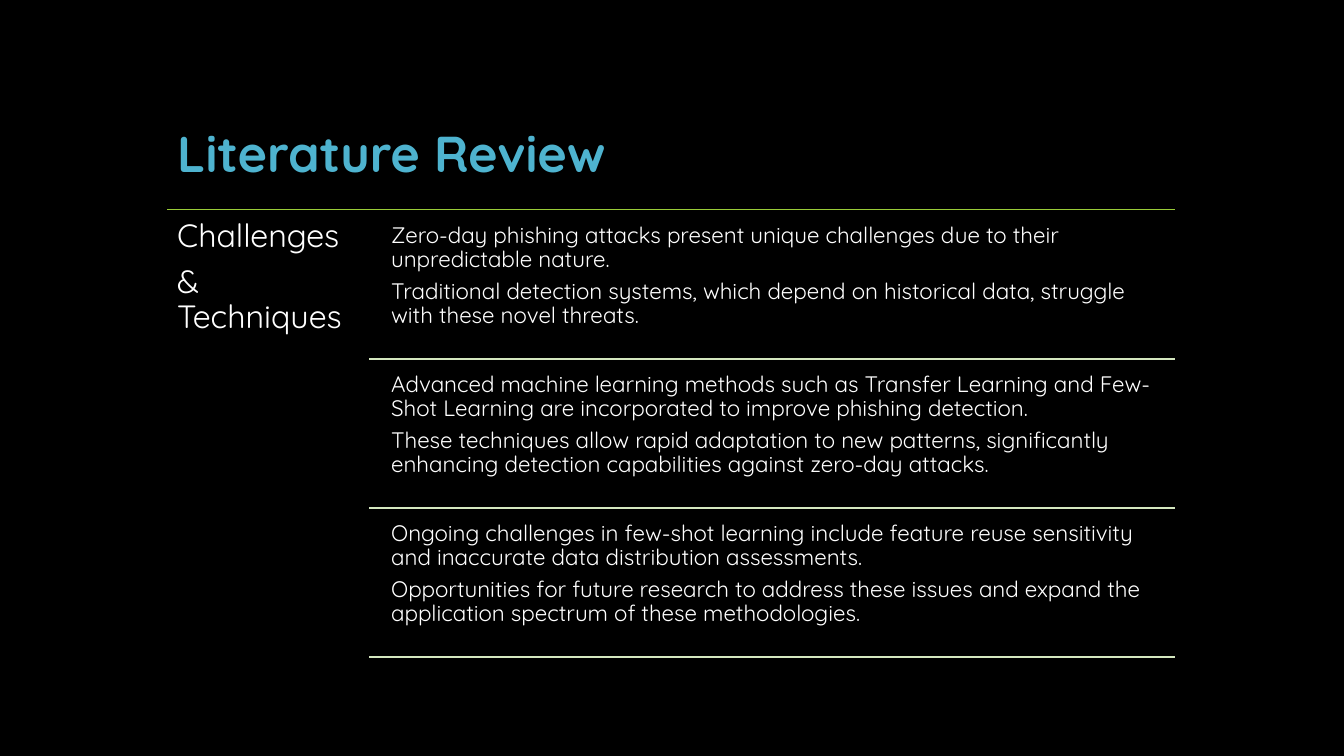
import dataclasses

import pptx
import pptx.dml.color
import pptx.enum.shapes
import pptx.enum.text
import pptx.oxml
import pptx.util

Inches = pptx.util.Inches
Pt = pptx.util.Pt


@dataclasses.dataclass(frozen=True)
class Theme:
    """Colours, font and type sizes of the slide."""
    back: str = "000000"
    title: str = "4EB3CF"
    text: str = "FFFFFF"
    rule: str = "99CB38"
    pale: str = "D4E7BF"
    font: str = "Quicksand"
    head: int = 36
    side: int = 23
    body: int = 16


THEME = Theme()

TOPICS = [
    ["Zero-day phishing attacks present unique challenges due to their unpredictable nature.",
     "Traditional detection systems, which depend on historical data, struggle with these novel threats."],
    ["Advanced machine learning methods such as Transfer Learning and Few-Shot Learning "
     "are incorporated to improve phishing detection.",
     "These techniques allow rapid adaptation to new patterns, significantly enhancing "
     "detection capabilities against zero-day attacks."],
    ["Ongoing challenges in few-shot learning include feature reuse sensitivity and "
     "inaccurate data distribution assessments.",
     "Opportunities for future research to address these issues and expand the application "
     "spectrum of these methodologies."],
]


def paint(name):
    """Turn a hex string into a colour."""
    return pptx.dml.color.RGBColor.from_string(name)


def add_text(slide, box, lines, size, color, inset, bold=False, anchor="TOP"):
    """Add a text box with one paragraph per line."""
    frame = slide.shapes.add_textbox(*map(Inches, box)).text_frame
    frame.word_wrap = True
    frame.vertical_anchor = pptx.enum.text.MSO_ANCHOR[anchor]
    frame.margin_left = frame.margin_right = Inches(inset)
    frame.margin_top = frame.margin_bottom = Inches(inset)
    for index, line in enumerate(lines):
        para = frame.add_paragraph() if index else frame.paragraphs[0]
        para.line_spacing = 0.9
        para.space_after = Pt(round(size * 0.35, 1))
        run = para.add_run()
        run.text = line
        run.font.name = THEME.font
        run.font.size = Pt(size)
        run.font.bold = bold
        run.font.color.rgb = paint(color)


def add_rule(slide, left, top, right, color):
    """Add a thin horizontal line."""
    line = slide.shapes.add_connector(
        pptx.enum.shapes.MSO_CONNECTOR.STRAIGHT,
        Inches(left), Inches(top), Inches(right), Inches(top))
    line.line.color.rgb = paint(color)
    line.line.width = Pt(1)
    props = line._element.spPr
    props.append(pptx.oxml.parse_xml(
        '<a:effectLst xmlns:a="http://schemas.openxmlformats.org/drawingml/2006/main"/>'))


def main():
    """Build the slide and save it."""
    deck = pptx.Presentation()
    deck.slide_width, deck.slide_height = Inches(13.33), Inches(7.5)
    slide = deck.slides.add_slide(deck.slide_layouts[6])
    fill = slide.background.fill
    fill.solid()
    fill.fore_color.rgb = paint(THEME.back)

    left, right, top = 1.66, 11.65, 2.08
    add_text(slide, (left, 0.42, 10, 1.5), ["Literature Review"],
             THEME.head, THEME.title, 0.1, bold=True, anchor="BOTTOM")
    add_rule(slide, left, top, right, THEME.rule)
    add_text(slide, (left, top, 2, 4.5), ["Challenges", "& Techniques"],
             THEME.side, THEME.text, 0.1)

    high, gap = 1.41, 0.07
    for row, lines in enumerate(TOPICS):
        start = top + gap + row * (high + gap)
        add_text(slide, (3.81, start, 7.84, high), lines, THEME.body, THEME.text, 0.07)
        add_rule(slide, 3.66, start + high, right, THEME.pale)

    deck.save("out.pptx")


if __name__ == "__main__":
    main()
